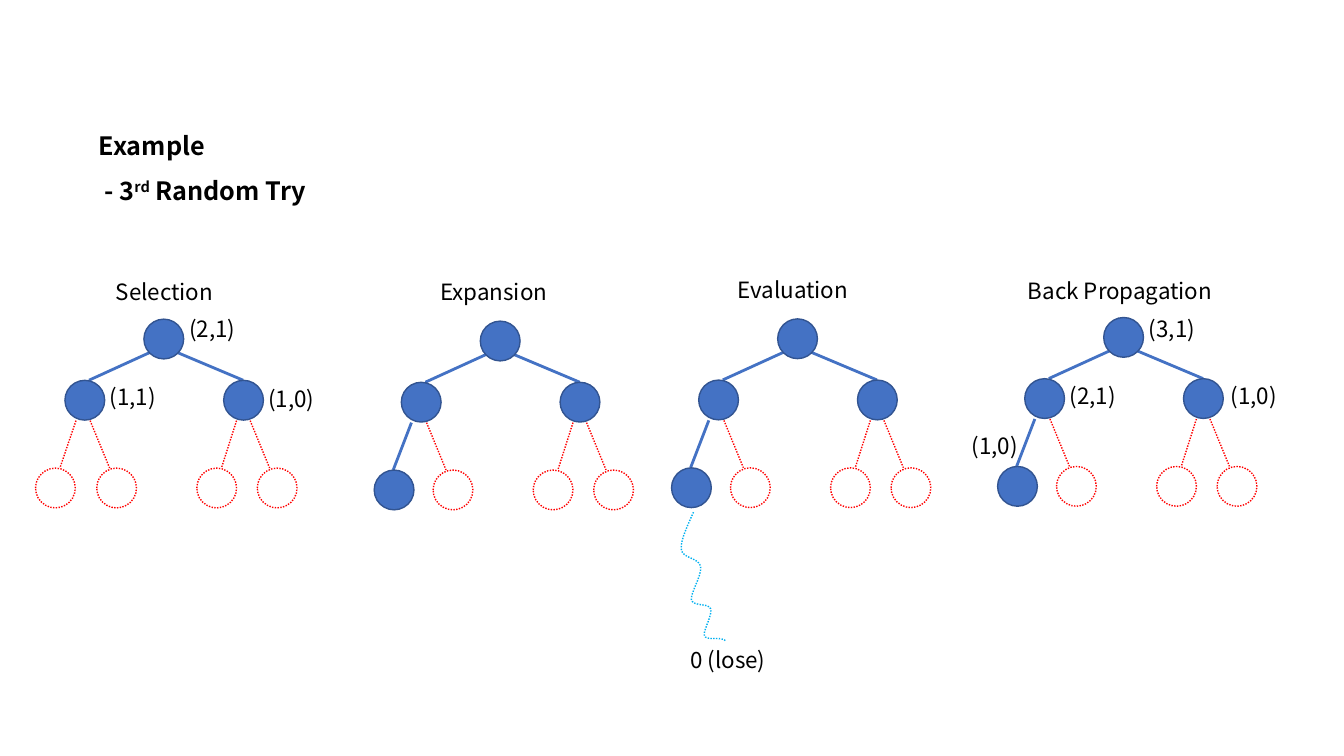
"""Draw the four steps of the third random try in a tree search."""
import pptx
import pptx.dml.color
import pptx.enum.dml
import pptx.enum.shapes
import pptx.enum.text
import pptx.util
from lxml import etree

Pt = pptx.util.Pt
SIZE = 28.4
BLUE, RED, CYAN = "4472C4", "FF0000", "00B0F0"


def tint(code):
    return pptx.dml.color.RGBColor.from_string(code)


def write(para, text, size=16, bold=False, face="Noto Sans CJK KR", color="000000"):
    for i, part in enumerate(text.split("^")):
        run = para.add_run()
        run.text = part
        font = run.font
        font.size, font.bold, font.name = Pt(size), bold, face
        font.color.rgb = tint(color)
        if i % 2:
            run._r.get_or_add_rPr().set("baseline", "30000")


class Board:
    def __init__(self, slide):
        self.shapes = slide.shapes

    def stroke(self, line, color, width=1, dots=False):
        line.color.rgb = tint(color)
        line.width = Pt(width)
        if dots:
            line.dash_style = pptx.enum.dml.MSO_LINE.ROUND_DOT

    def text(self, x, y, w, h, lines, wrap=False, space=None, indent=0, **style):
        box = self.shapes.add_textbox(Pt(x), Pt(y), Pt(w), Pt(h))
        frame = box.text_frame
        frame.word_wrap = wrap
        frame.auto_size = pptx.enum.text.MSO_AUTO_SIZE.SHAPE_TO_FIT_TEXT
        for i, text in enumerate(lines):
            para = frame.add_paragraph() if i else frame.paragraphs[0]
            if indent:
                para.level = 1
                para._p.get_or_add_pPr().set("marL", str(Pt(indent)))
            if space:
                para.line_spacing = space
            write(para, text, **style)

    def node(self, x, y, solid=True):
        kind = pptx.enum.shapes.MSO_SHAPE.OVAL
        dot = self.shapes.add_shape(kind, Pt(x), Pt(y), Pt(SIZE), Pt(SIZE))
        dot.shadow.inherit = False
        if solid:
            dot.fill.solid()
            dot.fill.fore_color.rgb = tint(BLUE)
            self.stroke(dot.line, "325491")
        else:
            dot.fill.background()
            self.stroke(dot.line, RED, dots=True)

    def edge(self, x, y, end_x, end_y, solid=True):
        kind = pptx.enum.shapes.MSO_CONNECTOR.STRAIGHT
        link = self.shapes.add_connector(kind, Pt(x), Pt(y), Pt(end_x), Pt(end_y))
        etree.SubElement(link._element.spPr, pptx.oxml.ns.qn("a:effectLst"))
        if solid:
            self.stroke(link.line, BLUE, 2)
        else:
            self.stroke(link.line, RED, dots=True)

    def leaf(self, x, y, start, end, side, solid=False):
        self.edge(x + start, y + 28.8, x + end, y + 62.6, solid)
        self.node(x + side, y + 62.7, solid)

    def tree(self, x, y, grown):
        for start, end, side in ((4, -39.2, -56.4), (24.1, 70.9, 57)):
            self.edge(x + start, y + 23.9, x + end, y + 43.6)
            self.node(x + side, y + 43.7)
        self.node(x, y)
        left, right, low = x - 56.4, x + 57, y + 43.7
        if grown:
            self.leaf(left, low, 7.2, -5.8, -19.4, True)
        else:
            self.leaf(left, low, 7.9, -3.6, -21)
        self.leaf(left, low, 18, 31.9, 22.7)
        self.leaf(right, low, 9.2, -1.6, -19.2)
        self.leaf(right, low, 18.9, 32.8, 24)

    def curve(self, start, bends, steps=12):
        dots, last = [], start
        for bend in bends:
            knots = (last, *bend)
            for i in range(1, steps + 1):
                t = i / steps
                mix = ((1 - t) ** 3, 3 * t * (1 - t) ** 2, 3 * t * t * (1 - t), t ** 3)
                dots.append(tuple(Pt(sum(m * k[n] for m, k in zip(mix, knots)))
                                  for n in (0, 1)))
            last = bend[-1]
        pen = self.shapes.build_freeform(Pt(start[0]), Pt(start[1]))
        pen.add_line_segments(dots, close=False)
        wave = pen.convert_to_shape()
        wave.shadow.inherit = False
        wave.fill.background()
        self.stroke(wave.line, CYAN, dots=True)


def main():
    deck = pptx.Presentation()
    deck.slide_width, deck.slide_height = Pt(960), Pt(540)
    board = Board(deck.slides.add_slide(deck.slide_layouts[6]))
    board.text(27.4, 78.5, 805, 68.4, ["Example", " - 3^rd^ Random Try"],
               wrap=True, space=1.5, indent=36, size=18, bold=True)

    steps = (
        ("Selection", 75.6, 195.1, 86.4, 102.8, 228, False),
        ("Expansion", 307.4, 195.1, 92.9, 343.1, 229.4, True),
        ("Evaluation", 519.8, 193.7, 96.5, 555.5, 227.8, True),
        ("Back Propagation", 727.2, 194.4, 156.2, 788.4, 226.8, True),
    )
    for name, x, y, wide, root_x, root_y, grown in steps:
        board.tree(root_x, root_y, grown)
        board.text(x, y, wide, 26.6, [name])

    scores = (
        ("(2,1)", 128.2, 221.8), ("(1,1)", 71.3, 269.8), ("(1,0)", 184.5, 271.6),
        ("(3,1)", 813.6, 221.8), ("(2,1)", 756.9, 269.3), ("(1,0)", 871.9, 269.3),
        ("(1,0)", 686.9, 305.3),
    )
    for score, x, y in scores:
        board.text(x, y, 49, 26.6, [score])

    board.curve((495.4, 365.8), (
        ((491, 375.8), (486, 385.9), (486.7, 392.4)),
        ((487.4, 398.9), (499, 398.2), (500.4, 404.6)),
        ((501.8, 410.4), (493.2, 423.4), (493.9, 428.4)),
        ((495.4, 433.4), (506.2, 430.6), (507.6, 434.9)),
        ((509, 439.9), (501.8, 450.7), (503.3, 454.3)),
        ((505.4, 457.9), (515.5, 454.3), (518.4, 457.9)),
    ))
    board.text(486, 457.9, 72.7, 26.6, ["0 (lose)"])
    deck.save("out.pptx")


if __name__ == "__main__":
    main()
